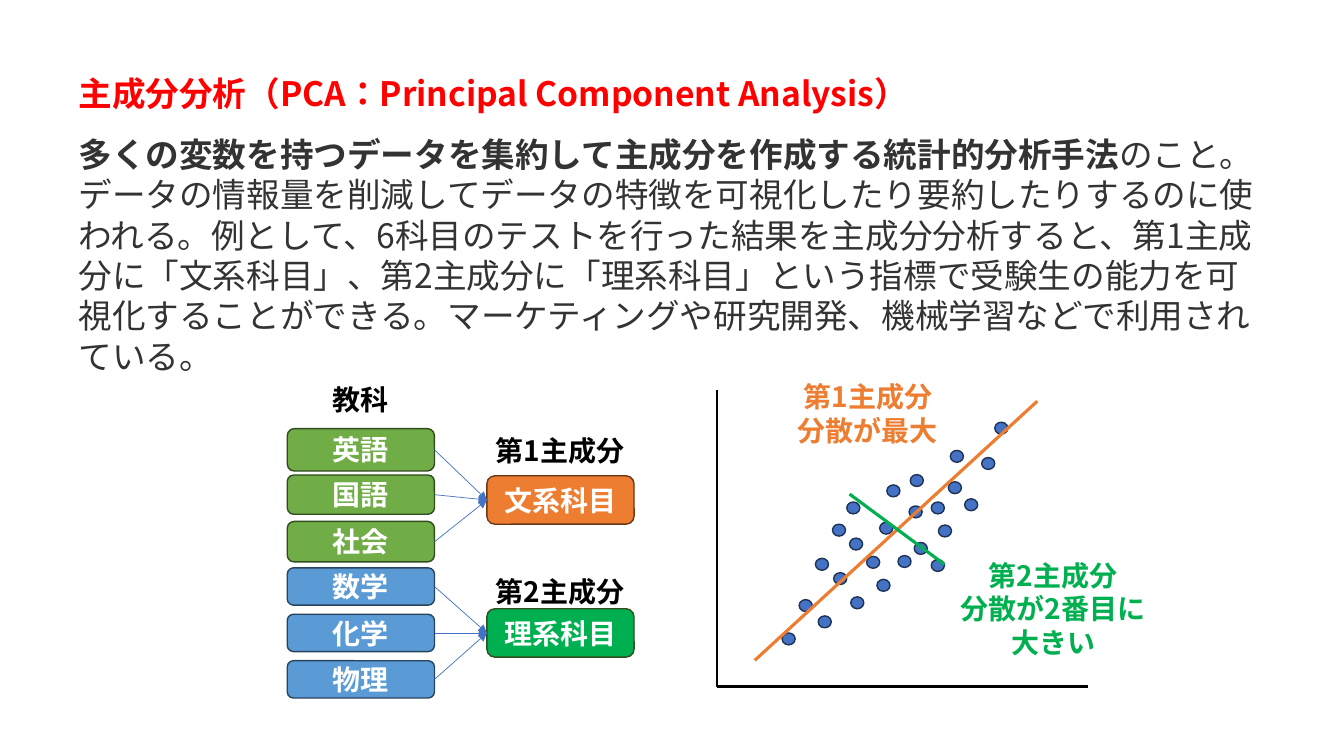
from dataclasses import dataclass
from typing import NamedTuple

from lxml import etree
from pptx import Presentation
from pptx.dml.color import RGBColor
from pptx.enum.shapes import MSO_CONNECTOR, MSO_SHAPE
from pptx.enum.text import MSO_ANCHOR, PP_ALIGN
from pptx.oxml.ns import qn
from pptx.util import Cm, Pt

STRAIGHT = MSO_CONNECTOR.STRAIGHT
ROUNDED = MSO_SHAPE.ROUNDED_RECTANGLE
OVAL = MSO_SHAPE.OVAL
MIDDLE = MSO_ANCHOR.MIDDLE
LEFT, CENTER = PP_ALIGN.LEFT, PP_ALIGN.CENTER
LEFT_SITE, RIGHT_SITE = 1, 3


@dataclass(frozen=True)
class Theme:
    font: str = "Noto Sans CJK JP"
    body_size: float = 24
    label_size: float = 20
    line_ratio: float = 1.2
    title: str = "FF0000"
    body: str = "333333"
    black: str = "000000"
    white: str = "FFFFFF"
    humanities: str = "70AD47"
    humanities_edge: str = "314C1F"
    science: str = "5B9BD5"
    science_edge: str = "28445D"
    first: str = "ED7D31"
    first_edge: str = "683715"
    second: str = "00B050"
    point: str = "4472C4"
    point_edge: str = "1E3256"


THEME = Theme()


class Frame(NamedTuple):
    left: float
    top: float
    width: float
    height: float


class Subject(NamedTuple):
    name: str
    height: float


class Component(NamedTuple):
    name: str
    top: float
    fill: str
    edge: str
    subject_fill: str
    subject_edge: str
    subjects: tuple


class Label(NamedTuple):
    lines: tuple
    frame: Frame
    color: str


class Segment(NamedTuple):
    start: tuple
    end: tuple
    color: str
    weight: float


COMPONENTS = (
    Component("文系科目", 11.99, THEME.first, THEME.first_edge, THEME.humanities, THEME.humanities_edge,
              (Subject("英語", 1.07), Subject("国語", 0.99), Subject("社会", 1.02))),
    Component("理系科目", 15.34, THEME.second, THEME.humanities_edge, THEME.science, THEME.science_edge,
              (Subject("数学", 0.94), Subject("化学", 0.94), Subject("物理", 0.94))),
)
SUBJECT_LEFT, SUBJECT_TOP, SUBJECT_PITCH = 7.24, 10.8, 1.17
COMPONENT_LEFT, COMPONENT_HEIGHT, BOX_WIDTH = 12.27, 1.22, 3.71

LABELS = (
    Label(("教科",), Frame(7.24, 9.45, 3.71, 1.12), THEME.black),
    Label(("第1主成分",), Frame(11.76, 10.72, 4.72, 1.12), THEME.black),
    Label(("第2主成分",), Frame(11.76, 14.27, 4.72, 1.12), THEME.black),
    Label(("第1主成分", "分散が最大"), Frame(19.18, 9.37, 5.38, 1.96), THEME.first),
    Label(("第2主成分", "分散が2番目に大きい"), Frame(23.85, 13.87, 5.38, 2.82), THEME.second),
)
AXES = (
    Segment((18.06, 9.83), (18.06, 17.3), THEME.black, 1.5),
    Segment((27.43, 17.3), (18.06, 17.3), THEME.black, 1.5),
)
COMPONENT_LINES = (
    Segment((19.02, 16.64), (26.14, 10.11), THEME.first, 2.25),
    Segment((23.8, 14.22), (21.41, 12.45), THEME.second, 2.25),
)
POINT_WIDTH, POINT_HEIGHT = 0.33, 0.3
POINTS = (
    (22.1, 14.6), (20.62, 15.52), (21.44, 15.04), (21.84, 14.02), (21.01, 14.43),
    (21.41, 13.56), (22.63, 14), (23.04, 13.67), (23.47, 12.65), (23.95, 11.35),
    (23.47, 14.1), (23.9, 12.14), (25.07, 10.64), (24.31, 12.57), (24.74, 11.53),
    (22.94, 11.96), (22.91, 12.75), (22.17, 13.16), (22.35, 12.22), (21.34, 12.65),
    (23.65, 13.23), (19.71, 15.95), (20.14, 15.11), (20.55, 14.07), (20.98, 13.21),
)
TITLE = "主成分分析（PCA：Principal Component Analysis）"
DEFINITION = "多くの変数を持つデータを集約して主成分を作成する統計的分析手法"
DETAIL = (
    "データの情報量を削減してデータの特徴を可視化したり要約したりするのに使われる。"
    "例として、6科目のテストを行った結果を主成分分析すると、"
    "第1主成分に「文系科目」、第2主成分に「理系科目」という指標で"
    "受験生の能力を可視化することができる。"
    "マーケティングや研究開発、機械学習などで利用されている。"
)


def write(para, text: str, *, size: float, color: str, bold: bool = True, align=LEFT, after: float = 0) -> None:
    para.alignment = align
    para.line_spacing = Pt(size * THEME.line_ratio)
    para.space_after = Pt(after)
    span = para.add_run()
    span.text = text
    span.font.name = THEME.font
    span.font.size = Pt(size)
    span.font.bold = bold
    span.font.color.rgb = RGBColor.from_string(color)
    properties = span.font._element
    properties.set("lang", "ja-JP")
    etree.SubElement(properties, qn("a:ea")).set("typeface", THEME.font)


def add_text_box(page, frame: Frame, top_inset: float):
    box = page.shapes.add_textbox(*map(Cm, frame))
    box.text_frame.word_wrap = True
    box.text_frame.margin_top = Cm(top_inset)
    return box.text_frame


def add_solid(page, kind, frame: Frame, fill: str, edge: str):
    shape = page.shapes.add_shape(kind, *map(Cm, frame))
    shape.shadow.inherit = False
    shape.fill.solid()
    shape.fill.fore_color.rgb = RGBColor.from_string(fill)
    shape.line.color.rgb = RGBColor.from_string(edge)
    shape.line.width = Pt(1)
    return shape


def add_box(page, name: str, frame: Frame, fill: str, edge: str):
    box = add_solid(page, ROUNDED, frame, fill, edge)
    box.text_frame.vertical_anchor = MIDDLE
    write(box.text_frame.paragraphs[0], name, size=THEME.label_size, color=THEME.white, align=CENTER)
    return box


def add_segment(page, segment: Segment):
    line = page.shapes.add_connector(STRAIGHT, *map(Cm, segment.start + segment.end))
    line.line.color.rgb = RGBColor.from_string(segment.color)
    line.line.width = Pt(segment.weight)
    etree.SubElement(line._element.spPr, qn("a:effectLst"))
    return line


def add_arrow(page, source, target) -> None:
    arrow = add_segment(page, Segment((0, 0), (1, 1), THEME.point, 0.5))
    arrow.begin_connect(source, RIGHT_SITE)
    arrow.end_connect(target, LEFT_SITE)
    etree.SubElement(arrow.line._get_or_add_ln(), qn("a:tailEnd")).set("type", "triangle")


def add_explanation(page) -> None:
    frame = add_text_box(page, Frame(1.73, 1.63, 30.4, 7.95), 0.22)
    size = THEME.body_size
    write(frame.paragraphs[0], TITLE, size=size, color=THEME.title, after=14.4)
    definition = frame.add_paragraph()
    write(definition, DEFINITION, size=size, color=THEME.body)
    write(definition, "のこと。", size=size, color=THEME.body, bold=False)
    write(frame.add_paragraph(), DETAIL, size=size, color=THEME.body, bold=False)


def add_label(page, label: Label) -> None:
    frame = add_text_box(page, label.frame, 0.2)
    for index, line in enumerate(label.lines):
        para = frame.add_paragraph() if index else frame.paragraphs[0]
        write(para, line, size=THEME.label_size, color=label.color, align=CENTER)


def add_components(page) -> None:
    top = SUBJECT_TOP
    for part in COMPONENTS:
        target = add_box(page, part.name, Frame(COMPONENT_LEFT, part.top, BOX_WIDTH, COMPONENT_HEIGHT),
                         part.fill, part.edge)
        for subject in part.subjects:
            frame = Frame(SUBJECT_LEFT, top, BOX_WIDTH, subject.height)
            add_arrow(page, add_box(page, subject.name, frame, part.subject_fill, part.subject_edge), target)
            top += SUBJECT_PITCH


def main() -> None:
    deck = Presentation()
    deck.slide_width, deck.slide_height = Cm(33.87), Cm(19.05)
    page = deck.slides.add_slide(deck.slide_layouts[6])
    add_explanation(page)
    add_components(page)
    for axis in AXES:
        add_segment(page, axis)
    for left, top in POINTS:
        add_solid(page, OVAL, Frame(left, top, POINT_WIDTH, POINT_HEIGHT), THEME.point, THEME.point_edge)
    for line in COMPONENT_LINES:
        add_segment(page, line)
    for label in LABELS:
        add_label(page, label)
    deck.save("out.pptx")


if __name__ == "__main__":
    main()
